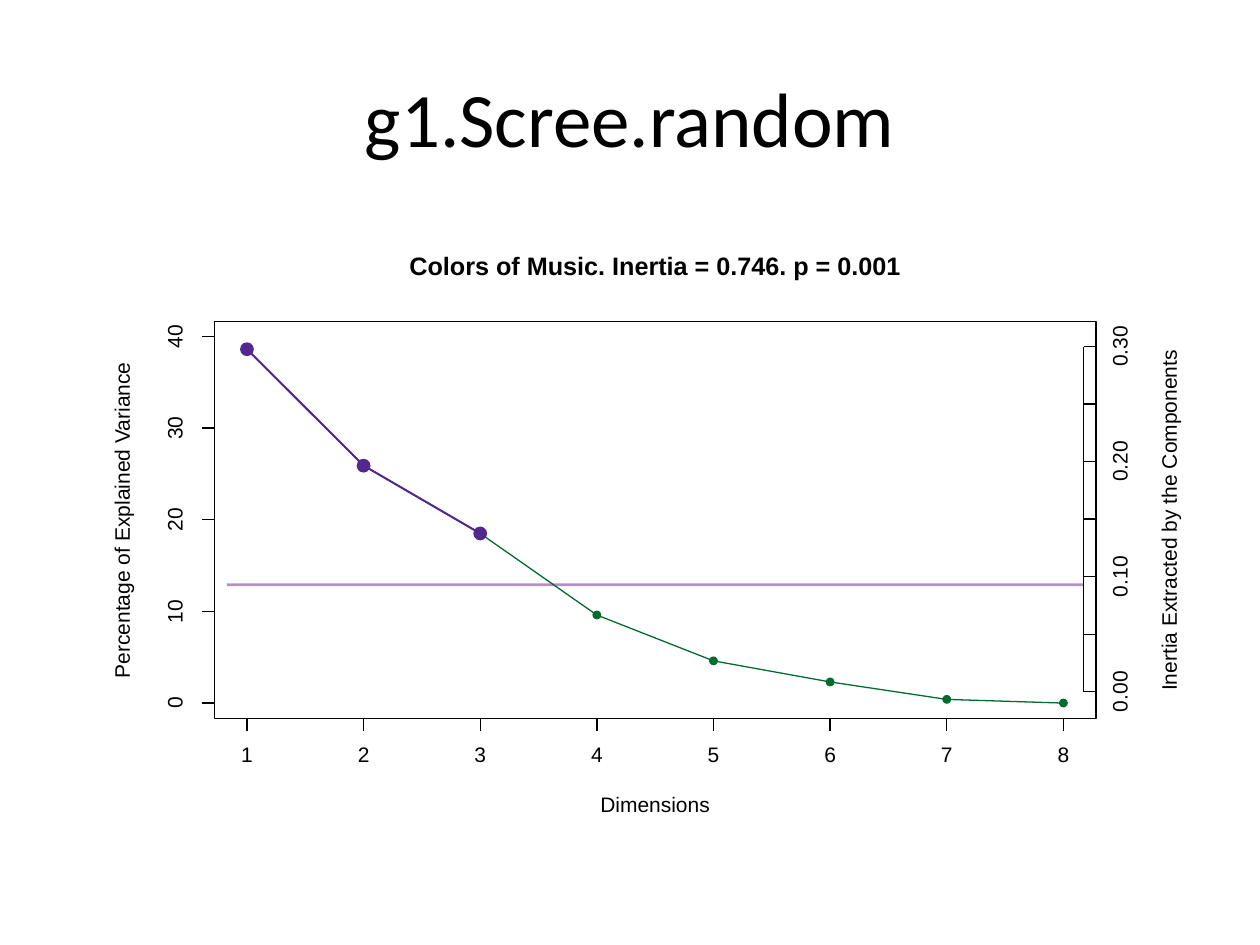
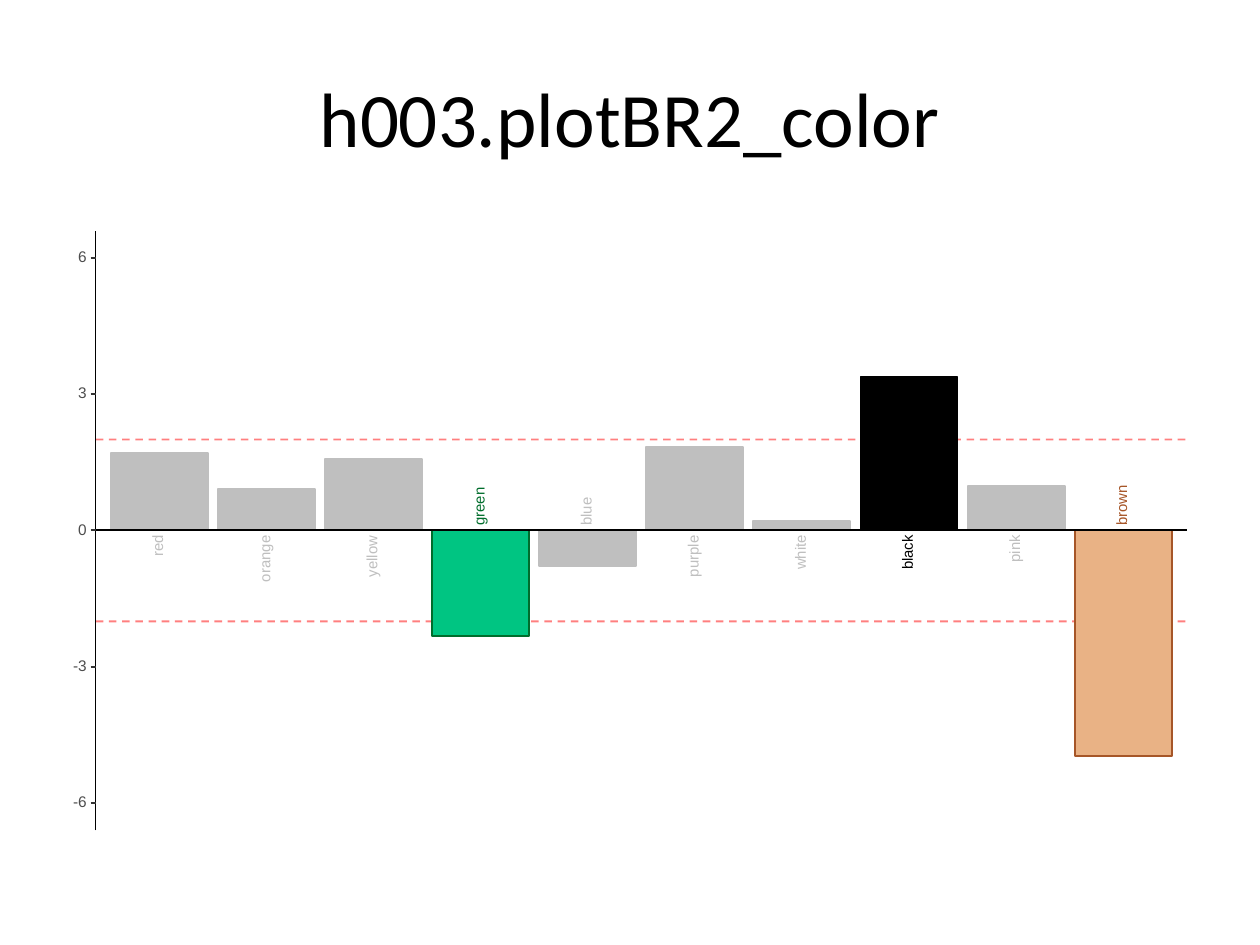
"""Builds two slides: a scree plot and a bar plot of bootstrap ratios."""
import pptx
import pptx.dml.color
import pptx.enum.dml
import pptx.enum.shapes
import pptx.enum.text
import pptx.oxml
import pptx.oxml.ns
import pptx.util

Inches = pptx.util.Inches
Pt = pptx.util.Pt
RGB = pptx.dml.color.RGBColor.from_string
SHAPES = pptx.enum.shapes.MSO_SHAPE
COLORS = {
    "white": "FFFFFF",
    "black": "000000",
    "green": "006D2C",
    "violet": "54278F",
    "average": "68228B",
    "threshold": "FF0000",
    "gray": "BFBFBF",
    "mint": "00C582",
    "sand": "E9B285",
    "brown": "A65628",
    "tick": "333333",
    "tick_text": "4D4D4D",
}


def add_line(page, x1, y1, x2, y2, color="black", width=0.75, dashed=False, alpha=None):
    line = page.shapes.add_connector(
        pptx.enum.shapes.MSO_CONNECTOR.STRAIGHT,
        Inches(x1), Inches(y1), Inches(x2), Inches(y2))
    line.line.color.rgb = RGB(COLORS[color])
    line.line.width = Pt(width)
    if dashed:
        line.line.dash_style = pptx.enum.dml.MSO_LINE.DASH
    properties = line._element.spPr
    if alpha:
        tint = properties.find(".//" + pptx.oxml.ns.qn("a:srgbClr"))
        tint.append(pptx.oxml.parse_xml(
            f'<a:alpha {pptx.oxml.ns.nsdecls("a")} val="{alpha * 1000}"/>'))
    properties.append(pptx.oxml.parse_xml(
        f'<a:effectLst {pptx.oxml.ns.nsdecls("a")}/>'))


def add_label(page, text, center_x, center_y, width, size=12, color="black",
              upright=False, bold=False):
    box_width, height = width + 0.06, size / 100
    box = page.shapes.add_textbox(
        Inches(center_x - box_width / 2), Inches(center_y - height / 2),
        Inches(box_width), Inches(height))
    box.rotation = 270 if upright else 0
    frame = box.text_frame
    frame.word_wrap = False
    frame.margin_left = frame.margin_right = frame.margin_top = frame.margin_bottom = 0
    frame.vertical_anchor = pptx.enum.text.MSO_ANCHOR.MIDDLE
    para = frame.paragraphs[0]
    para.alignment = pptx.enum.text.PP_ALIGN.CENTER
    para.line_spacing = Pt(size)
    span = para.add_run()
    span.text = text
    span.font.name = "Arial"
    span.font.size = Pt(size)
    span.font.bold = bold
    span.font.color.rgb = RGB(COLORS[color])


deck = pptx.Presentation()
deck.slide_width = Inches(10)
deck.slide_height = Inches(7.5)

pages = []
for heading, panel_line in (("g1.Scree.random", 0.75), ("h003.plotBR2_color", 1.07)):
    page = deck.slides.add_slide(deck.slide_layouts[5])
    title = page.shapes.title
    title.left, title.top = Inches(0.5), Inches(0.3)
    title.width, title.height = Inches(9), Inches(1.25)
    title.text_frame.vertical_anchor = pptx.enum.text.MSO_ANCHOR.MIDDLE
    para = title.text_frame.paragraphs[0]
    para.alignment = pptx.enum.text.PP_ALIGN.CENTER
    span = para.add_run()
    span.text = heading
    span.font.name = "Calibri"
    span.font.size = Pt(44)
    span.font.color.rgb = RGB(COLORS["black"])
    panel = page.shapes.add_shape(
        SHAPES.RECTANGLE, Inches(0.5), Inches(1.75), Inches(9), Inches(4.95))
    panel.shadow.inherit = False
    panel.fill.solid()
    panel.fill.fore_color.rgb = RGB(COLORS["white"])
    panel.line.color.rgb = RGB(COLORS["white"])
    panel.line.width = Pt(panel_line)
    pages.append(page)
scree, ratios = pages

plot_left, plot_top, plot_right, plot_bottom = 1.7, 2.55, 8.7, 5.7
percent_zero, percent_unit = 5.58, 2.91 / 40
variances = [38.6, 25.9, 18.5, 9.6, 4.6, 2.3, 0.4, 0]
average_variance = 12.9
points = [(1.96 + index * 6.48 / 7, percent_zero - value * percent_unit)
          for index, value in enumerate(variances)]

plot_frame = scree.shapes.add_shape(
    SHAPES.RECTANGLE, Inches(plot_left), Inches(plot_top),
    Inches(plot_right - plot_left), Inches(plot_bottom - plot_top))
plot_frame.shadow.inherit = False
plot_frame.fill.background()
plot_frame.line.color.rgb = RGB(COLORS["black"])
plot_frame.line.width = Pt(0.75)

add_line(scree, points[0][0], plot_bottom, points[-1][0], plot_bottom)
for dimension, (x, y) in enumerate(points, 1):
    add_line(scree, x, plot_bottom, x, plot_bottom + 0.1)
    add_label(scree, str(dimension), x, 6, 0.09)
add_line(scree, plot_left, percent_zero, plot_left, percent_zero - 40 * percent_unit)
for percent in range(0, 50, 10):
    y = percent_zero - percent * percent_unit
    add_line(scree, plot_left, y, plot_left - 0.1, y)
    add_label(scree, str(percent), 1.4, y, 0.09 * len(str(percent)), upright=True)

for count, color, width, radius in ((8, "green", 0.75, 0.035), (3, "violet", 1.12, 0.055)):
    shown = points[:count]
    outline = [(Inches(x), Inches(y)) for x, y in shown]
    builder = scree.shapes.build_freeform(*outline[0])
    builder.add_line_segments(outline[1:], close=False)
    curve = builder.convert_to_shape()
    curve.shadow.inherit = False
    curve.fill.background()
    curve.line.color.rgb = RGB(COLORS[color])
    curve.line.width = Pt(width)
    for x, y in shown:
        dot = scree.shapes.add_shape(
            SHAPES.OVAL, Inches(x - radius), Inches(y - radius),
            Inches(2 * radius), Inches(2 * radius))
        dot.shadow.inherit = False
        dot.fill.solid()
        dot.fill.fore_color.rgb = RGB(COLORS[color])
        dot.line.fill.background()

average_y = percent_zero - average_variance * percent_unit
add_line(scree, 1.8, average_y, 8.6, average_y, "average", 1.5, alpha=50)

add_line(scree, 8.6, 5.49, 8.6, 2.75)
for step in range(7):
    y = 5.49 - step * 2.74 / 6
    add_line(scree, 8.6, y, plot_right, y)
    if step % 2 == 0:
        add_label(scree, f"{step * 0.05:.2f}", 8.9, y, 0.32, upright=True)

add_label(scree, "Colors of Music. Inertia = 0.746. p = 0.001", 5.2, 2.13, 3.95, 14.4, bold=True)
add_label(scree, "Dimensions", 5.2, 6.4, 0.87)
add_label(scree, "Percentage of Explained Variance", 0.98, 4.13, 2.52, upright=True)
add_label(scree, "Inertia Extracted by the Components", 9.29, 4.13, 2.71, upright=True)

axis_x, axis_end = 0.76, 9.42
ratio_zero, ratio_unit = 4.21, 4.33 / 12
bars = [
    ("red", 1.7, 0.18, "gray", "gray"),
    ("orange", 0.92, 0.39, "gray", "gray"),
    ("yellow", 1.57, 0.35, "gray", "gray"),
    ("green", -2.33, 0.32, "mint", "green"),
    ("blue", -0.78, 0.24, "gray", "gray"),
    ("purple", 1.84, 0.35, "gray", "gray"),
    ("white", 0.2, 0.29, "gray", "gray"),
    ("black", 3.37, 0.29, "black", "black"),
    ("pink", 0.97, 0.23, "gray", "gray"),
    ("brown", -4.96, 0.34, "sand", "brown"),
]

for threshold in (2, -2):
    y = ratio_zero - threshold * ratio_unit
    add_line(ratios, axis_x, y, axis_end, y, "threshold", 1.07, dashed=True, alpha=50)

for index, (name, ratio, text_width, fill, edge) in enumerate(bars):
    left = 0.88 + 0.85 * index
    bar = ratios.shapes.add_shape(
        SHAPES.RECTANGLE, Inches(left), Inches(ratio_zero - max(ratio, 0) * ratio_unit),
        Inches(0.77), Inches(abs(ratio) * ratio_unit))
    bar.shadow.inherit = False
    bar.fill.solid()
    bar.fill.fore_color.rgb = RGB(COLORS[fill])
    bar.line.color.rgb = RGB(COLORS[edge])
    bar.line.width = Pt(1.07)
    side = 1 if ratio > 0 else -1
    add_label(ratios, name, left + 0.38, ratio_zero + side * (0.03 + text_width / 2),
              text_width, 8.5, edge, upright=True)

add_line(ratios, axis_x, ratio_zero, axis_end, ratio_zero, width=1.07)
add_line(ratios, axis_x, 6.59, axis_x, 1.83)
for tick in range(-6, 9, 3):
    y = ratio_zero - tick * ratio_unit
    text_width = 0.11 if tick < 0 else 0.07
    add_label(ratios, str(tick), 0.69 - text_width / 2, y, text_width, 8.8, "tick_text")
    add_line(ratios, axis_x - 0.04, y, axis_x, y, "tick", 1.07)

deck.save("out.pptx")
